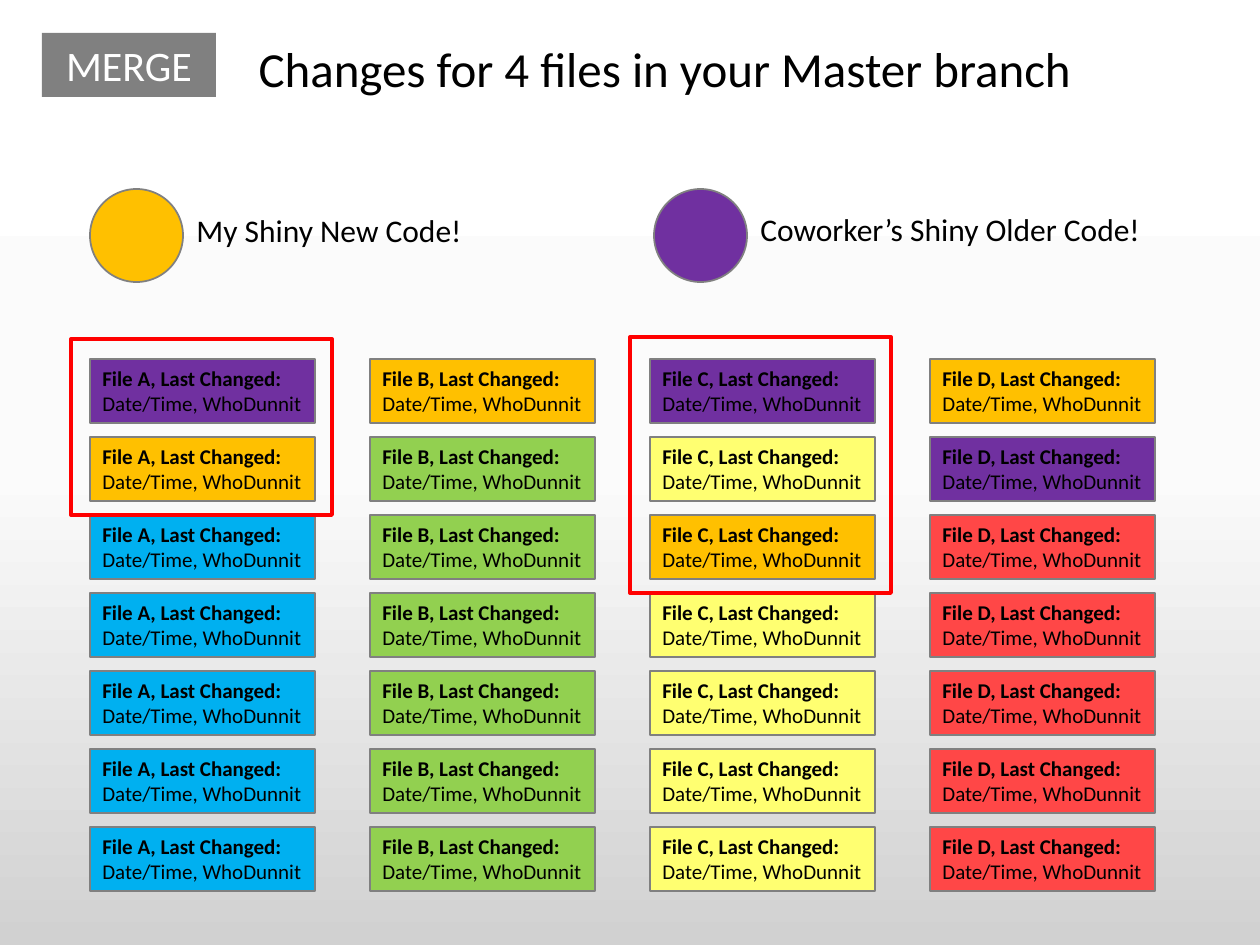
from copy import deepcopy

from pptx import Presentation
from pptx.dml.color import RGBColor
from pptx.enum.shapes import MSO_SHAPE
from pptx.enum.text import MSO_ANCHOR, MSO_AUTO_SIZE, PP_ALIGN
from pptx.oxml.ns import qn
from pptx.util import Pt

RECT, OVAL = MSO_SHAPE.RECTANGLE, MSO_SHAPE.OVAL
LEFT, CENTER = PP_ALIGN.LEFT, PP_ALIGN.CENTER
TOP, GROW = MSO_ANCHOR.TOP, MSO_AUTO_SIZE.SHAPE_TO_FIT_TEXT

THEME = {
    "font": "Calibri",
    "title": 28, "badge": 24, "legend": 18, "card": 12,
    "black": "000000", "white": "FFFFFF", "gray": "808080", "red": "FF0000",
    "mine": "FFC000", "coworker": "7030A0",
    "A": "00B0F0", "B": "92D050", "C": "FFFF71", "D": "FF4747",
    "background": [(0, "FFFFFF"), (0.5, "FBFBFB"), (1, "D1D1D1")],
}
EMU_PER_PX = 914400 / 126


def px(*lengths):
    return [round(length * EMU_PER_PX) for length in lengths]


def write(shape, text, size, color="black", align=LEFT, bold_lead=""):
    """Fill a shape with one paragraph, optionally opened by a bold run."""
    frame = shape.text_frame
    frame.word_wrap = True
    frame.auto_size = GROW
    frame.vertical_anchor = TOP
    paragraph = frame.paragraphs[0]
    paragraph.alignment = align
    for words, bold in ((bold_lead, True), (text, False)):
        if words:
            run = paragraph.add_run()
            run.text = words
            run.font.name = THEME["font"]
            run.font.size = Pt(THEME[size])
            run.font.bold = bold
            run.font.color.rgb = RGBColor.from_string(THEME[color])


def draw(kind, box, fill=None, line=None, width=0.75):
    shape = slide.shapes.add_shape(kind, *px(*box))
    shape.shadow.inherit = False
    for paint, color in ((shape.fill, fill), (shape.line.fill, line)):
        if color:
            paint.solid()
            paint.fore_color.rgb = RGBColor.from_string(THEME[color])
        else:
            paint.background()
    if line:
        shape.line.width = Pt(width)
    return shape


prs = Presentation()
prs.slide_width, prs.slide_height = px(1260, 945)
slide = prs.slides.add_slide(prs.slide_layouts[5])

# Background gradient, top to bottom
backdrop = slide.background.fill
backdrop.gradient()
backdrop.gradient_angle = 270
stop_list = next(slide.element.iter(qn("a:gsLst")))
stop_list.append(deepcopy(stop_list[-1]))
for stop, (position, color) in zip(backdrop.gradient_stops, THEME["background"]):
    stop.position = position
    stop.color.rgb = RGBColor.from_string(color)

# Title and badge
title = slide.shapes.title
title.left, title.top, title.width, title.height = px(246, 32, 864, 72)
write(title, "Changes for 4 files in your Master branch", "title")
badge = draw(RECT, (42, 33, 174, 64), fill="gray")
write(badge, "MERGE", "badge", color="white", align=CENTER)

# Legend: whose change each colour stands for
legend = [
    ("mine", 90, "My Shiny New Code!", 205, 321),
    ("coworker", 654, "Coworker’s Shiny Older Code!", 204, 461),
]
for author, left, label, label_top, label_width in legend:
    draw(OVAL, (left, 189, 93, 93), fill=author, line="gray", width=1)
    caption = slide.shapes.add_textbox(*px(left + 94, label_top, label_width, 51))
    write(caption, label, "legend")

# File histories: one column per file, newest change on top
recent_changes = {
    "A": ["coworker", "mine"],
    "B": ["mine"],
    "C": ["coworker", "C", "mine"],
    "D": ["mine", "coworker"],
}
ROWS = 7
for column, (file, recent) in enumerate(recent_changes.items()):
    history = recent + [file] * (ROWS - len(recent))
    for row, author in enumerate(history):
        card = draw(RECT, (90 + 280 * column, 359 + 78 * row, 225, 64),
                    fill=author, line="gray")
        write(card, "Date/Time, WhoDunnit", "card",
              bold_lead=f"File {file}, Last Changed: ")

# Frames around the conflicting changes
for conflict in ((71, 339, 261, 176), (630, 337, 261, 256)):
    draw(RECT, conflict, line="red", width=2.25)

prs.save("out.pptx")
